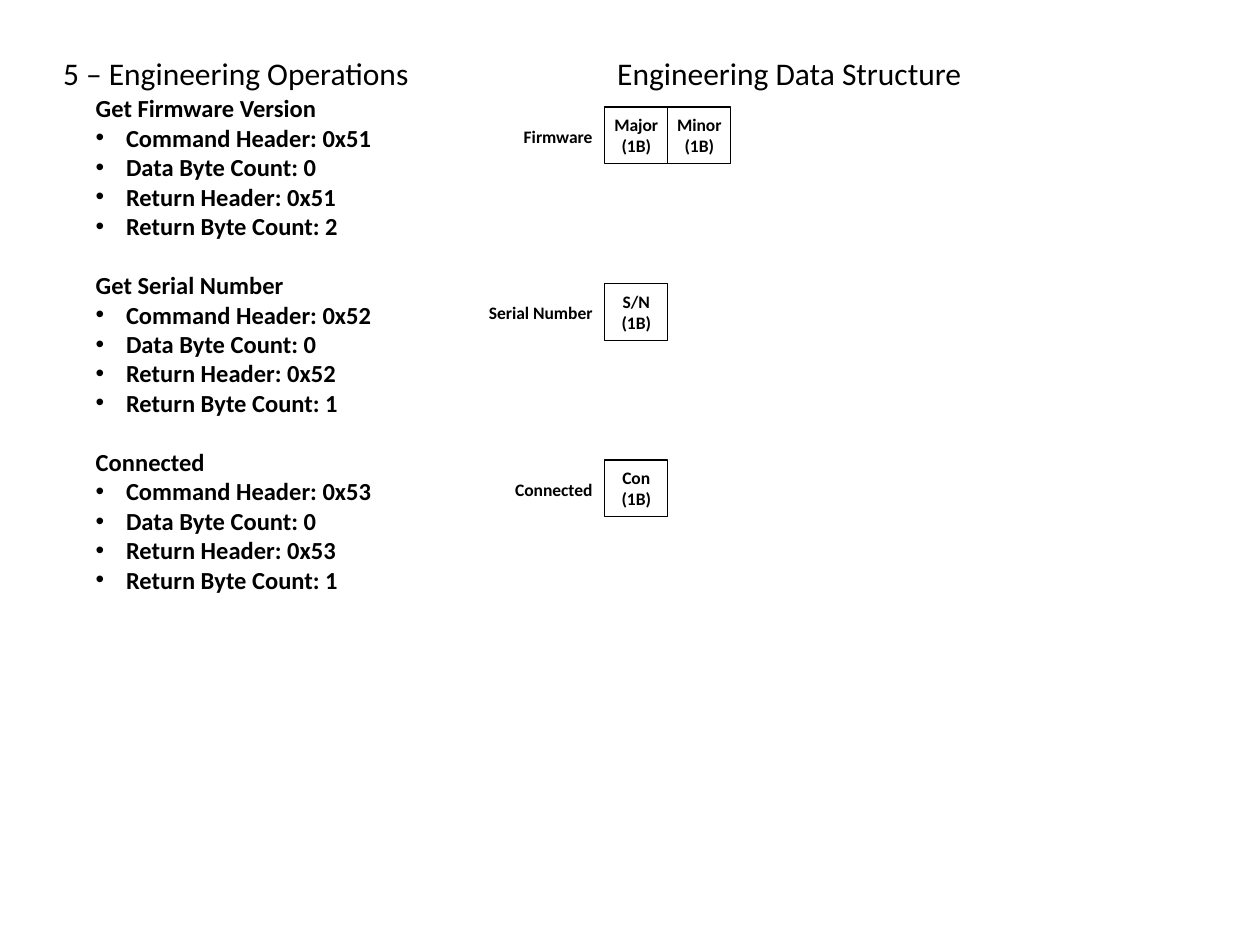
from dataclasses import dataclass

from lxml import etree
from pptx import Presentation
from pptx.dml.color import RGBColor
from pptx.enum.shapes import MSO_SHAPE as Shape
from pptx.enum.text import MSO_ANCHOR as Anchor, PP_ALIGN as Align
from pptx.oxml.ns import qn
from pptx.util import Inches, Pt


@dataclass(frozen=True)
class Theme:
    font: str = "Calibri"
    ink: RGBColor = RGBColor(0, 0, 0)
    title: int = 18
    body: int = 14
    label: int = 10
    gap: int = 17


theme = Theme()


def style(paragraph, size, bold=True, align=Align.LEFT):
    paragraph.alignment = align
    paragraph.space_before = Pt(0)
    font = paragraph.font
    font.name, font.size, font.bold = theme.font, Pt(size), bold
    font.color.rgb = theme.ink


def place(shape, left, top, width, height):
    shape.left, shape.top = Inches(left), Inches(top)
    shape.width, shape.height = Inches(width), Inches(height)


# Operation, command code, bytes returned, label, data fields
operations = [
    ("Get Firmware Version", "0x51", 2, "Firmware", ["Major", "Minor"]),
    ("Get Serial Number", "0x52", 1, "Serial Number", ["S/N"]),
    ("Connected", "0x53", 1, "Connected", ["Con"]),
]
FIELDS_LEFT, FIELD_WIDTH, FIELD_HEIGHT = 4.8, 0.5, 0.45
FIRST_ROW, ROW_PITCH = 0.85, 1.4
LABEL_WIDTH = 1.09

prs = Presentation()
prs.slide_width, prs.slide_height = Inches(10), Inches(7.5)
slide = prs.slides.add_slide(prs.slide_layouts[1])

# Headings of the two columns
section_title, operation_list = slide.placeholders
structure_title = slide.shapes.add_textbox(0, 0, 0, 0)
for heading, left, text in [
    (section_title, 0.4, "5 – Engineering Operations"),
    (structure_title, FIELDS_LEFT, "Engineering Data Structure"),
]:
    place(heading, left, 0.38, 2.98, 0.4)
    heading.text_frame.text = text
    heading.text_frame.word_wrap = True
    heading.text_frame.vertical_anchor = Anchor.TOP
    style(heading.text_frame.paragraphs[0], theme.title, bold=False)

# Operations list
place(operation_list, 0.4, 0.69, 2.98, 4.33)
lines = []
for name, code, returned, *_ in operations:
    lines += [
        (name, False),
        (f"Command Header: {code}", True),
        ("Data Byte Count: 0", True),
        (f"Return Header: {code}", True),
        (f"Return Byte Count: {returned}", True),
    ]
operation_list.text_frame.text = "\n".join(text for text, _ in lines)
for index, (paragraph, (_, bulleted)) in enumerate(
    zip(operation_list.text_frame.paragraphs, lines)
):
    props = paragraph._p.get_or_add_pPr()
    props.set("marL", str(Inches(0.5 if bulleted else 0.26)))
    props.set("indent", str(Inches(-0.24 if bulleted else 0)))
    if bulleted:
        etree.SubElement(props, qn("a:buFont")).set("typeface", "Arial")
        etree.SubElement(props, qn("a:buChar")).set("char", "•")
    else:
        etree.SubElement(props, qn("a:buNone"))
    style(paragraph, theme.body)
    if index and not bulleted:
        paragraph.space_before = Pt(theme.gap)

# Data structure rows: a label and one box per field
for row, (_, _, _, label, fields) in enumerate(operations):
    top = FIRST_ROW + row * ROW_PITCH
    caption = slide.shapes.add_textbox(0, 0, 0, 0)
    place(caption, FIELDS_LEFT - LABEL_WIDTH, top + 0.1, LABEL_WIDTH, 0.27)
    caption.text_frame.word_wrap = True
    caption.text_frame.text = label
    style(caption.text_frame.paragraphs[0], theme.label, align=Align.RIGHT)

    for column, field in enumerate(fields):
        box = slide.shapes.add_shape(Shape.RECTANGLE, 0, 0, 0, 0)
        place(box, FIELDS_LEFT + column * FIELD_WIDTH, top, FIELD_WIDTH, FIELD_HEIGHT)
        box.shadow.inherit = False
        box.fill.background()
        box.line.color.rgb = theme.ink
        box.line.width = Pt(0.75)
        frame = box.text_frame
        frame.margin_left = frame.margin_right = 0
        frame.vertical_anchor = Anchor.MIDDLE
        frame.text = f"{field}\n(1B)"
        for paragraph in frame.paragraphs:
            style(paragraph, theme.label, align=Align.CENTER)

prs.save("out.pptx")
